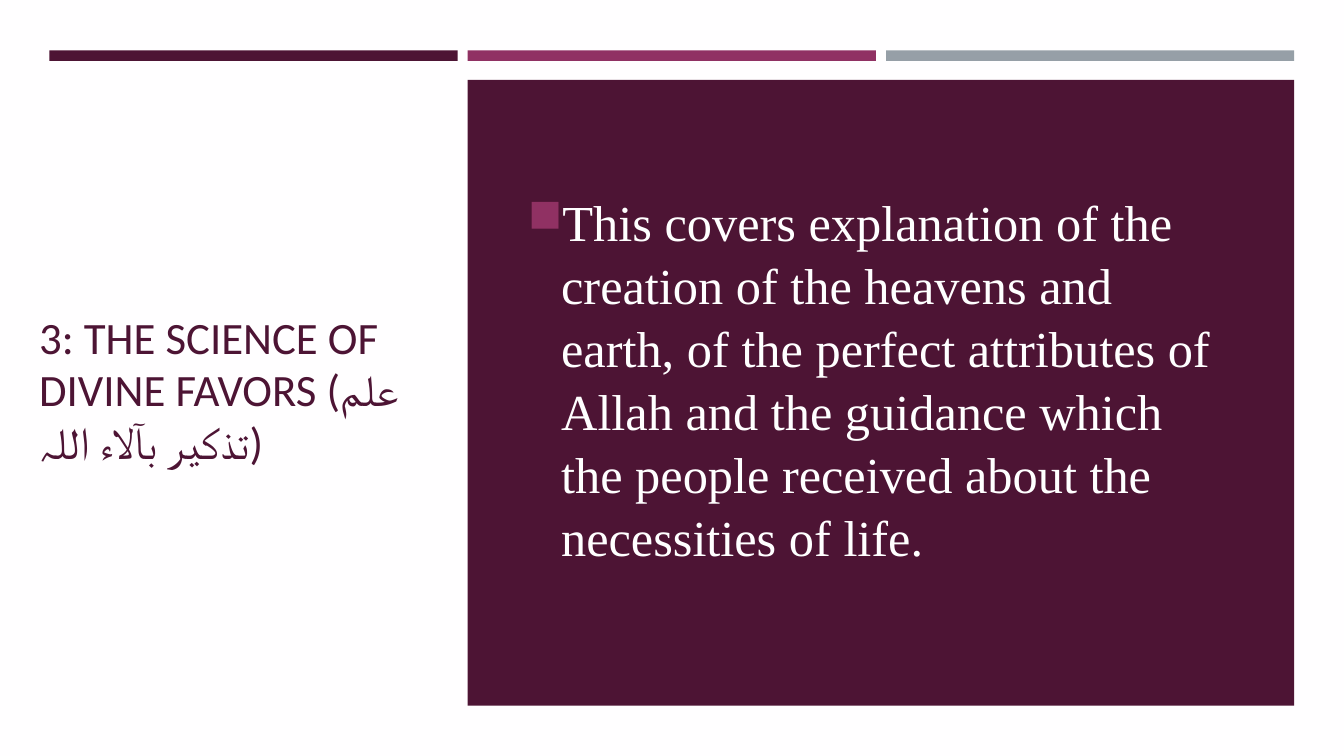
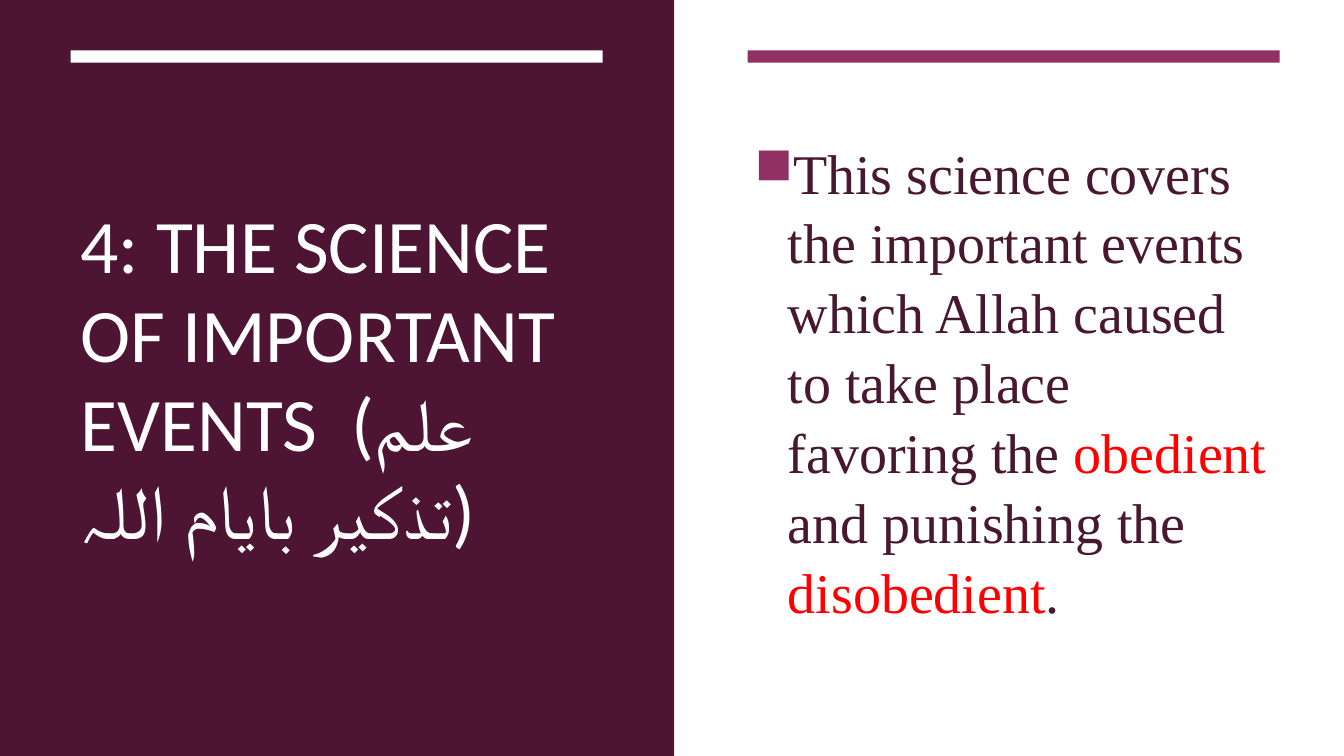
from lxml import etree
from pptx import Presentation
from pptx import util as u
from pptx.dml import color
from pptx.enum import shapes, text
from pptx.oxml import ns

# Shared colours and type
PLUM, BERRY, GREY = "4D1434", "903163", "969FA7"
WHITE, OFF_WHITE, INK, RED = "FFFFFF", "FFFEFF", "481831", "FF0000"
TITLE_FONT, BODY_FONT = "Calibri", "Times New Roman"
WIDTH, HEIGHT = 960, 540
BAND_TOP = 36
BULLET_INDENT = 23.76

# Three equal columns on the first slide
COLUMN, PITCH, MARGIN = 291.6, 298.8, 35.28
column_lefts = [MARGIN + PITCH * index for index in range(3)]

# Content: boxes are (left, top, width, height) in points; runs are (text, colour)
SLIDES = [
    {
        "panels": [
            ((0, 0, WIDTH, HEIGHT), OFF_WHITE),
            *[((left, BAND_TOP, COLUMN, 7.5), fill)
              for left, fill in zip(column_lefts, (PLUM, BERRY, GREY))],
            ((column_lefts[1], 57, PITCH + COLUMN, 447), PLUM),
        ],
        "title": ("3: THE SCIENCE OF DIVINE FAVORS (علم تذکیر بآلاء اللہ)", PLUM),
        "title_box": (20.9, 84.25, 298.8, 390.25),
        "title_size": 32,
        "body": [
            ("This covers explanation of the creation of the heavens and earth, "
             "of the perfect attributes of Allah and the guidance which the people "
             "received about the necessities of life.", WHITE),
        ],
        "body_box": (370, 84.25, 520, 370.8),
        "body_size": 36,
    },
    {
        "panels": [
            ((0, 0, WIDTH, HEIGHT), WHITE),
            ((0, 0, 481.5, HEIGHT), PLUM),
            *[((left, BAND_TOP, 380, 8.7), fill)
              for left, fill in ((50.5, WHITE), (534, BERRY))],
        ],
        "title": ("4: THE SCIENCE OF IMPORTANT EVENTS  (علم تذکیر بایام اللہ)", WHITE),
        "title_box": (50.5, 81.4, 380, 380),
        "title_size": 54,
        "body": [
            ("This science covers the important events which Allah caused "
             "to take place favoring the ", INK),
            ("obedient", RED),
            (" and punishing the ", INK),
            ("disobedient", RED),
            (".", INK),
        ],
        "body_box": (532, 81.4, 382.5, 380),
        "body_size": 40,
    },
]


def rgb(value):
    return color.RGBColor.from_string(value)


def points(box):
    return [u.Pt(length) for length in box]


def add_panel(slide, box, fill):
    shape = slide.shapes.add_shape(shapes.MSO_SHAPE.RECTANGLE, *points(box))
    shape.shadow.inherit = False
    shape.fill.solid()
    shape.fill.fore_color.rgb = rgb(fill)
    shape.line.fill.background()


def add_bullet(paragraph):
    properties = paragraph._p.get_or_add_pPr()
    indent = int(u.Pt(BULLET_INDENT))
    properties.set("marL", str(indent))
    properties.set("indent", str(-indent))
    bullet_color = etree.SubElement(properties, ns.qn("a:buClr"))
    etree.SubElement(bullet_color, ns.qn("a:srgbClr"), val=BERRY)
    etree.SubElement(properties, ns.qn("a:buSzPct"), val="92000")
    etree.SubElement(properties, ns.qn("a:buChar"), char="■")


def add_text(slide, box, runs, font_name, size, line_spacing, bullet=False):
    frame = slide.shapes.add_textbox(*points(box)).text_frame
    frame.word_wrap = True
    frame.vertical_anchor = text.MSO_ANCHOR.MIDDLE
    paragraph = frame.paragraphs[0]
    if bullet:
        add_bullet(paragraph)
    paragraph.line_spacing = line_spacing
    for words, fill in runs:
        run = paragraph.add_run()
        run.text = words
        run.font.name = font_name
        run.font.size = u.Pt(size)
        run.font.color.rgb = rgb(fill)


def main():
    presentation = Presentation()
    presentation.slide_width, presentation.slide_height = points((WIDTH, HEIGHT))
    for content in SLIDES:
        slide = presentation.slides.add_slide(presentation.slide_layouts[6])
        # Background, bands and panels
        for box, fill in content["panels"]:
            add_panel(slide, box, fill)
        # Title and bulleted body
        add_text(slide, content["title_box"], [content["title"]],
                 TITLE_FONT, content["title_size"], 0.98)
        add_text(slide, content["body_box"], content["body"],
                 BODY_FONT, content["body_size"], 1.04, bullet=True)
    presentation.save("out.pptx")


if __name__ == "__main__":
    main()
